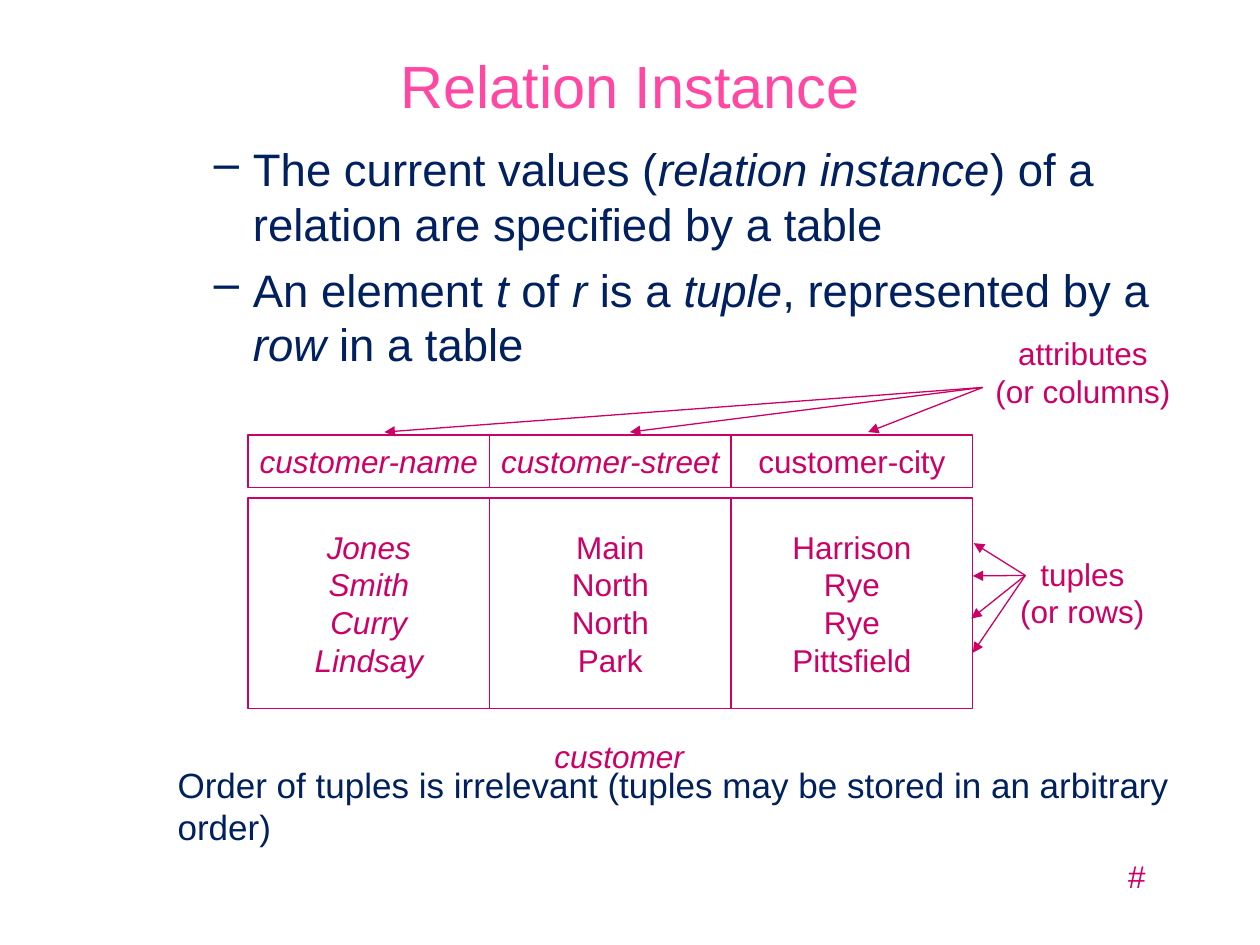
"""Build the Relation Instance slide."""
from lxml.etree import SubElement
from pptx import Presentation
from pptx.dml.color import RGBColor
from pptx.enum.shapes import MSO_CONNECTOR, MSO_SHAPE
from pptx.enum.text import MSO_ANCHOR, MSO_AUTO_SIZE, PP_ALIGN
from pptx.oxml.ns import qn
from pptx.util import Cm, Pt

PINK = RGBColor(0xFF, 0x47, 0xA3)
ROSE = RGBColor(0xCC, 0x00, 0x66)
NAVY = RGBColor(0x00, 0x20, 0x60)
WHITE = RGBColor(0xFF, 0xFF, 0xFF)
LABEL = {"size": Pt(18), "color": ROSE}
MARGINS = {"margin_left": Cm(0.25), "margin_right": Cm(0.25),
           "margin_top": Cm(0.13), "margin_bottom": Cm(0.13)}


def apply(target, values):
    for name, value in values.items():
        setattr(target, name, value)


class Sheet:
    def __init__(self, slide, font, line):
        self.slide, self.font, self.line = slide, font, line

    def fill(self, shape, lines, style, frame=None, para=None, indent=None, bullet=None):
        body = shape.text_frame
        apply(body, {**MARGINS, "word_wrap": True, "auto_size": MSO_AUTO_SIZE.NONE,
                     "vertical_anchor": MSO_ANCHOR.TOP, **(frame or {})})
        for row, line in enumerate(lines):
            par = body.add_paragraph() if row else body.paragraphs[0]
            apply(par, para or {})
            if not row:
                par.space_before = Pt(0)
            if indent:
                self.indent(par, indent, bullet)
            for part, text in enumerate(line.split("*")):
                if text:
                    run = par.add_run()
                    run.text = text
                    apply(run.font, {"name": self.font, "size": style["size"],
                                     "italic": part % 2 == 1})
                    run.font.color.rgb = style["color"]

    def indent(self, par, indent, bullet):
        props = par._p.get_or_add_pPr()
        for name, value in zip(("marL", "indent"), indent):
            props.set(name, str(int(value)))
        if bullet:
            color = SubElement(SubElement(props, qn("a:buClr")), qn("a:srgbClr"))
            color.set("val", str(NAVY))
            SubElement(props, qn("a:buChar")).set("char", bullet)

    def title(self, spot, text, style):
        shape = self.slide.shapes.title
        apply(shape, dict(zip(("left", "top", "width", "height"), map(Cm, spot))))
        self.fill(shape, [text], style, {"vertical_anchor": MSO_ANCHOR.MIDDLE},
                  {"alignment": PP_ALIGN.CENTER})

    def text(self, spot, lines, style, **rest):
        self.fill(self.slide.shapes.add_textbox(*map(Cm, spot)), lines, style, **rest)

    def label(self, spot, lines):
        self.text(spot, lines, LABEL, frame={"word_wrap": False},
                  para={"alignment": PP_ALIGN.CENTER})

    def cell(self, spot, lines):
        shape = self.slide.shapes.add_shape(MSO_SHAPE.RECTANGLE, *map(Cm, spot))
        shape.shadow.inherit = False
        shape.fill.solid()
        shape.fill.fore_color.rgb = WHITE
        self.stroke(shape)
        self.fill(shape, lines, LABEL,
                  {"word_wrap": False, "vertical_anchor": MSO_ANCHOR.MIDDLE},
                  {"alignment": PP_ALIGN.CENTER})

    def arrow(self, start, end):
        link = self.slide.shapes.add_connector(
            MSO_CONNECTOR.STRAIGHT, *map(Cm, (*start, *end)))
        self.stroke(link)
        SubElement(link.line._get_or_add_ln(), qn("a:tailEnd")).set("type", "triangle")
        SubElement(link._element.spPr, qn("a:effectLst"))

    def stroke(self, shape):
        shape.line.color.rgb = self.line
        shape.line.width = Pt(0.75)


def main():
    deck = Presentation()
    apply(deck, {"slide_width": Cm(25.4), "slide_height": Cm(19.05)})
    sheet = Sheet(deck.slides.add_slide(deck.slide_layouts[5]), "Arial", ROSE)

    sheet.title((1.91, 0.43, 21.59, 2.54), "Relation Instance",
                {"size": Pt(34), "color": PINK})
    sheet.text((2.79, 2.72, 21.06, 5.46), [
        "The current values (*relation instance*) of a relation are specified by a table",
        "An element *t* of *r* is a *tuple*, represented by a *row *in a table",
    ], {"size": Pt(26), "color": NAVY}, para={"level": 1, "space_before": Pt(6.5)},
        indent=(Cm(2.06), Cm(-0.79)), bullet="–")

    table = {
        "*customer-name*": ["*Jones*", "*Smith*", "*Curry*", "*Lindsay*"],
        "*customer-street*": ["Main", "North", "North", "Park"],
        "customer-city": ["Harrison", "Rye", "Rye", "Pittsfield"],
    }
    left, width = 5, 4.87
    for col, (head, names) in enumerate(table.items()):
        x = left + col * width
        sheet.cell((x, 10.04, width, 4.24), names)
        sheet.cell((x, 8.77, width, 1.06), [head])

    sheet.label((10.92, 14.73, 3.12, 1.02), ["*customer*"])
    sheet.label((19.81, 6.6, 4.04, 1.78), ["attributes", "(or columns)"])
    sheet.label((20.32, 11.05, 3, 1.78), ["tuples", "(or rows)"])
    for x in (7.75, 12.7, 17.5):
        sheet.arrow((19.81, 7.81), (x, 8.71))
    for x, y in ((19.63, 10.95), (19.61, 11.61), (19.58, 12.47), (19.61, 13.16)):
        sheet.arrow((20.67, 11.6), (x, y))

    sheet.text((2.06, 15.27, 23.34, 2), [
        "Order of tuples is irrelevant (tuples may be stored in an arbitrary order)",
    ], {"size": Pt(20), "color": NAVY}, para={"level": 1}, indent=(Cm(1.27), 0))
    sheet.text((22.48, 17.15, 0.86, 1.02), ["*#*"], LABEL, frame={"word_wrap": False})
    deck.save("out.pptx")


if __name__ == "__main__":
    main()
